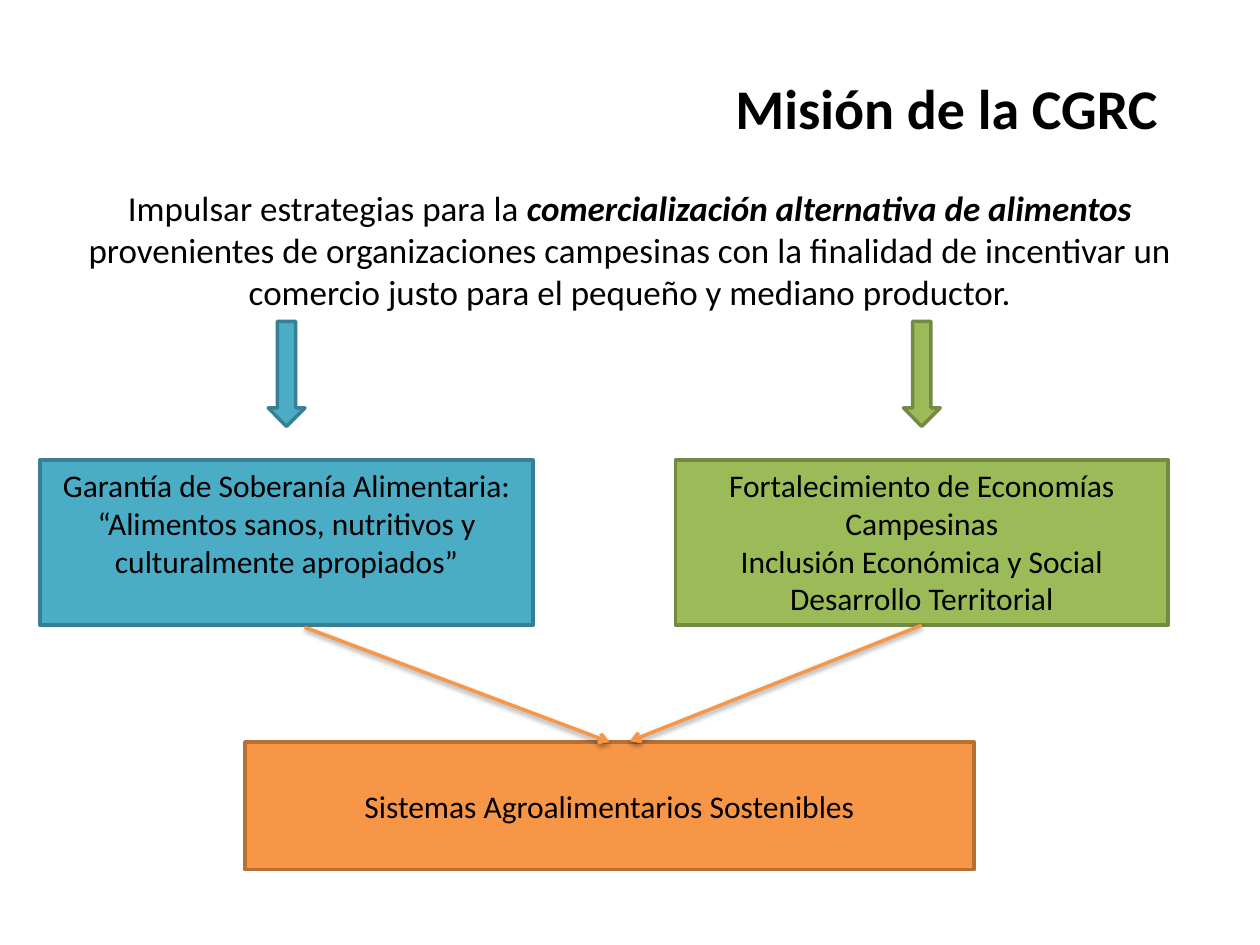
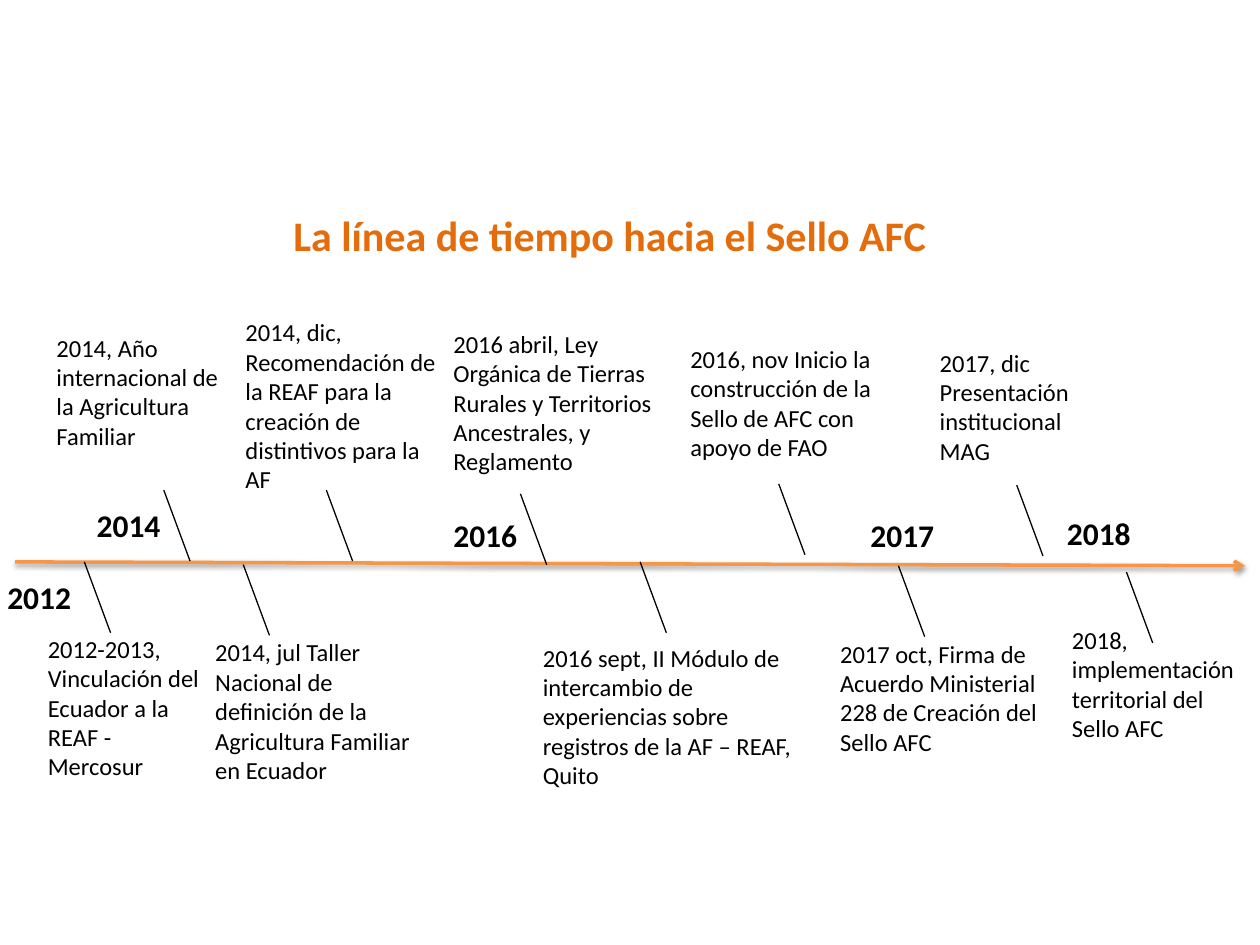
from typing import NamedTuple

from lxml import etree
from pptx import Presentation
from pptx.dml.color import RGBColor
from pptx.enum import shapes, text
from pptx.oxml import ns
from pptx.util import Pt

COLORS = {
    "black": "000000", "title orange": "E46C0A",
    "blue": "4BACC6", "blue edge": "377F92",
    "green": "9BBB59", "green edge": "738A42",
    "orange": "F79646", "orange edge": "B76F34",
}
FONT = "Calibri"
ALIGN, ANCHOR, SHAPE = text.PP_ALIGN, text.MSO_ANCHOR, shapes.MSO_SHAPE
TITLE_ONLY = 5
TICK_RUN, TICK_RISE = 15, 40.5
YEAR_SIZE = (67.7, 28.8)


class Span(NamedTuple):
    words: str
    strong: bool = False
    slanted: bool = False


class Style(NamedTuple):
    size: float
    align: ALIGN = ALIGN.LEFT
    anchor: ANCHOR = ANCHOR.TOP
    color: str = "black"


class Pillar(NamedTuple):
    left: float
    color: str
    lines: list[str]


class Event(NamedTuple):
    words: str
    left: float
    top: float
    width: float
    rows: int
    tick_x: float
    tick_y: float


class Year(NamedTuple):
    label: str
    left: float
    top: float


MISSION = [
    Span("Impulsar estrategias para la "),
    Span("comercialización alternativa de alimentos", True, True),
    Span(" provenientes de organizaciones campesinas con la finalidad de "
         "incentivar un comercio justo para el pequeño y mediano productor."),
]
PILLARS = [
    Pillar(23, "blue", ["Garantía de Soberanía Alimentaria:",
                        "“Alimentos sanos, nutritivos y culturalmente apropiados”"]),
    Pillar(386, "green", ["Fortalecimiento de Economías Campesinas",
                          "Inclusión Económica y Social", "Desarrollo Territorial"]),
]
EVENTS = [
    Event("2012-2013, Vinculación del Ecuador a la REAF - Mercosur",
          20.2, 358.6, 101.5, 5, 48.2, 321.1),
    Event("2014, Año internacional de la Agricultura Familiar",
          25.2, 186.5, 108, 4, 93.6, 280.1),
    Event("2014, jul Taller Nacional de definición de la Agricultura Familiar en Ecuador",
          115.9, 360.7, 135.4, 5, 139, 322.6),
    Event("2014, dic, Recomendación de la REAF para la creación de distintivos para la AF",
          133.2, 177.8, 126.7, 6, 186.5, 280.1),
    Event("2016 abril, Ley Orgánica de Tierras Rurales y Territorios Ancestrales, y Reglamento",
          252, 184.3, 131.8, 5, 297.4, 282.2),
    Event("2016 sept, II Módulo de intercambio de experiencias sobre registros "
          "de la AF – REAF, Quito", 303.1, 363.6, 157.7, 5, 365.8, 321.1),
    Event("2016, nov Inicio la construcción de la Sello de AFC con apoyo de FAO",
          387.4, 193, 120.2, 4, 445, 276.5),
    Event("2017 oct, Firma de Acuerdo Ministerial 228 de Creación del Sello AFC",
          473, 361.4, 141.8, 4, 513.4, 323.3),
    Event("2017, dic Presentación institucional MAG",
          529.9, 195.1, 100.8, 4, 581, 277.2),
    Event("2018, implementación territorial del Sello AFC",
          605.5, 353.5, 110.2, 4, 643.7, 326.9),
]
YEARS = [
    Year("2012", -2.9, 326.9), Year("2014", 48.2, 285.8), Year("2016", 252, 291.6),
    Year("2017", 490.3, 291.6), Year("2018", 602.6, 290.2),
]


def rgb(name: str) -> RGBColor:
    return RGBColor.from_string(COLORS[name])


def write(box, paragraphs: list[list[Span]], style: Style) -> None:
    frame = box.text_frame
    frame.word_wrap = True
    frame.auto_size = text.MSO_AUTO_SIZE.NONE
    frame.vertical_anchor = style.anchor
    for index, spans in enumerate(paragraphs):
        para = frame.paragraphs[0] if index == 0 else frame.add_paragraph()
        para.alignment = style.align
        for span in spans:
            run = para.add_run()
            run.text = span.words
            font = run.font
            font.name, font.size = FONT, Pt(style.size)
            font.bold, font.italic = span.strong, span.slanted
            font.color.rgb = rgb(style.color)


def add_text(page, left: float, top: float, width: float, height: float,
             spans: list[Span], style: Style) -> None:
    box = page.shapes.add_textbox(Pt(left), Pt(top), Pt(width), Pt(height))
    write(box, [spans], style)


def add_title(page, left: float, top: float, width: float, height: float,
              words: str, style: Style) -> None:
    title = page.shapes.title
    title.left, title.top = Pt(left), Pt(top)
    title.width, title.height = Pt(width), Pt(height)
    write(title, [[Span(words, True)]], style)


def add_block(page, kind: SHAPE, left: float, top: float,
              width: float, height: float, color: str):
    block = page.shapes.add_shape(kind, Pt(left), Pt(top), Pt(width), Pt(height))
    block.shadow.inherit = False
    block.fill.solid()
    block.fill.fore_color.rgb = rgb(color)
    block.line.color.rgb = rgb(f"{color} edge")
    block.line.width = Pt(2)
    return block


def add_line(page, start: tuple[float, float], end: tuple[float, float],
             color: str, weight: float):
    line = page.shapes.add_connector(
        shapes.MSO_CONNECTOR.STRAIGHT, *map(Pt, start), *map(Pt, end))
    line.line.color.rgb = rgb(color)
    line.line.width = Pt(weight)
    etree.SubElement(line._element.spPr, ns.qn("a:effectLst"))
    return line


def add_arrow(page, start: tuple[float, float], end: tuple[float, float]):
    """Draw an orange line with an open head and a soft shadow below it."""
    arrow = add_line(page, start, end, "orange", 2)
    etree.SubElement(arrow.line._get_or_add_ln(), ns.qn("a:tailEnd"), type="arrow")
    effects = arrow._element.spPr.find(ns.qn("a:effectLst"))
    shadow = etree.SubElement(
        effects, ns.qn("a:outerShdw"), blurRad=str(Pt(3.1)), dist=str(Pt(1.6)),
        dir="5400000", rotWithShape="0")
    tint = etree.SubElement(shadow, ns.qn("a:srgbClr"), val=COLORS["black"])
    etree.SubElement(tint, ns.qn("a:alpha"), val="38000")
    return arrow


def build_mission(page) -> None:
    add_title(page, 209, 26, 460, 70.5, "Misión de la CGRC",
              Style(32, ALIGN.RIGHT, ANCHOR.MIDDLE))
    add_text(page, 36, 103, 648, 139, MISSION, Style(20, ALIGN.CENTER))

    pillar_width, arrow_width = 281.5, 21
    boxes = []
    for pillar in PILLARS:
        arrow_left = pillar.left + (pillar_width - arrow_width) / 2
        add_block(page, SHAPE.DOWN_ARROW, arrow_left, 183.6, arrow_width, 60, pillar.color)
        box = add_block(page, SHAPE.RECTANGLE, pillar.left, 262.8,
                        pillar_width, 94.5, pillar.color)
        write(box, [[Span(line)] for line in pillar.lines], Style(18, ALIGN.CENTER))
        boxes.append(box)

    goal = add_block(page, SHAPE.RECTANGLE, 140, 424, 416.5, 73, "orange")
    write(goal, [[Span("Sistemas Agroalimentarios Sostenibles")]],
          Style(18, ALIGN.CENTER, ANCHOR.MIDDLE))
    add_arrow(page, (174.2, 358.5), (348.5, 424)).end_connect(goal, 0)
    add_arrow(page, (526.5, 357.3), (360, 423.5)).begin_connect(boxes[1], 2)


def build_timeline(page) -> None:
    add_title(page, 31, 116, 635, 36, "La línea de tiempo hacia el Sello AFC",
              Style(24, ALIGN.CENTER, color="title orange"))
    add_arrow(page, (8.6, 321.1), (711.4, 323.3))
    for event in EVENTS:
        add_text(page, event.left, event.top, event.width, 17 * event.rows + 7.2,
                 [Span(event.words)], Style(14))
        add_line(page, (event.tick_x, event.tick_y),
                 (event.tick_x + TICK_RUN, event.tick_y + TICK_RISE), "black", 0.75)
    for year in YEARS:
        add_text(page, year.left, year.top, *YEAR_SIZE, [Span(year.label, True)], Style(18))


def main() -> None:
    deck = Presentation()
    deck.slide_width, deck.slide_height = Pt(720), Pt(540)
    for build in (build_mission, build_timeline):
        build(deck.slides.add_slide(deck.slide_layouts[TITLE_ONLY]))
    deck.save("out.pptx")


if __name__ == "__main__":
    main()
